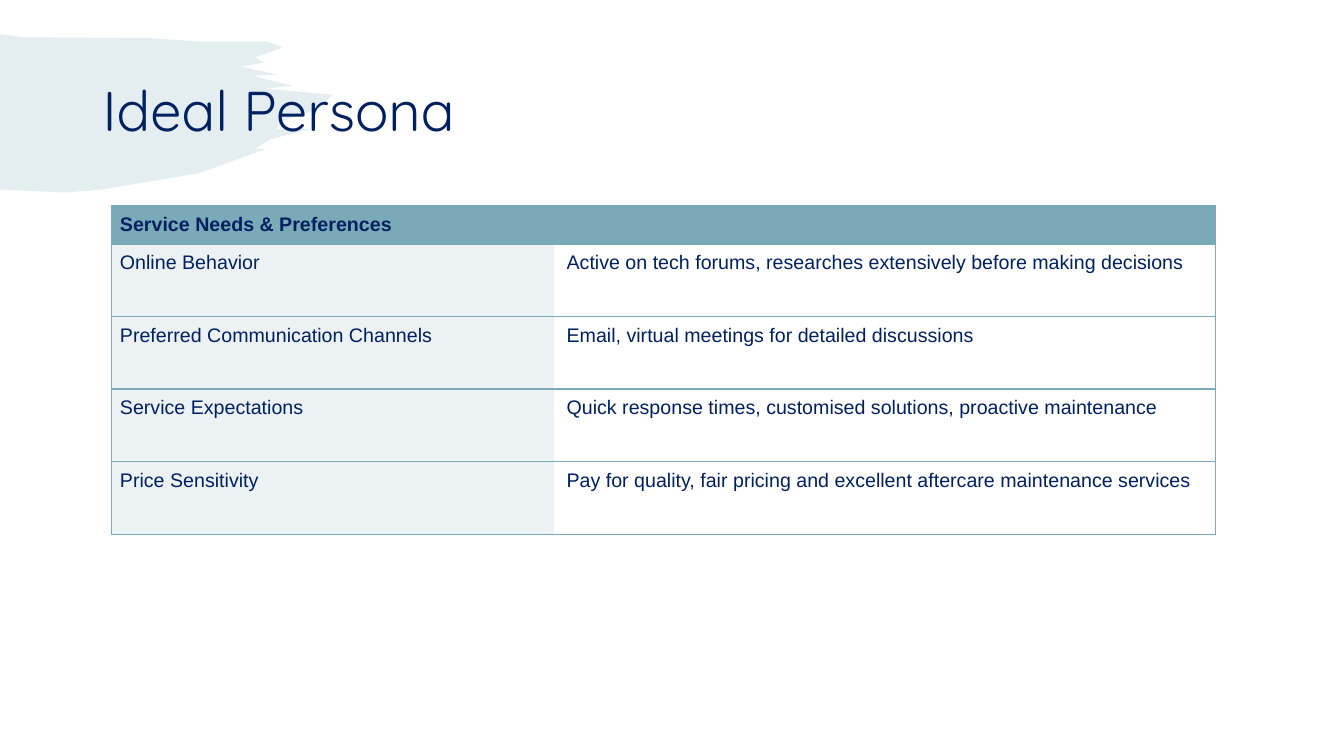
from lxml import etree
from pptx import Presentation
from pptx.dml.color import RGBColor
from pptx.enum import text
from pptx.oxml import ns
from pptx.util import Inches, Pt

NAVY, TEAL, PALE, WHITE = "002060", "7AA9B7", "ECF1F3", "FFFFFF"

HEADER = "Service Needs & Preferences"
ROWS = [
    ("Online Behavior", "Active on tech forums, researches extensively before making decisions"),
    ("Preferred Communication Channels", "Email, virtual meetings for detailed discussions"),
    ("Service Expectations", "Quick response times, customised solutions, proactive maintenance"),
    ("Price Sensitivity", "Pay for quality, fair pricing and excellent aftercare maintenance services"),
]

# Corners of the brush stroke in inches, clockwise from the top left
BRUSH = [
    (0, 0.34), (0.25, 0.37), (1.51, 0.38), (1.94, 0.41), (2.65, 0.41), (2.8, 0.47),
    (2.53, 0.57), (2.62, 0.62), (2.38, 0.66), (2.75, 0.74), (2.51, 0.75), (2.73, 0.81),
    (2.9, 0.85), (2.63, 0.88), (3.3, 0.94), (3.18, 1.06), (3.07, 1.11), (2.8, 1.2),
    (2.74, 1.28), (3.08, 1.28), (2.69, 1.38), (2.52, 1.48), (2.63, 1.48), (1.97, 1.72),
    (1.02, 1.88), (0.65, 1.91), (0, 1.88),
]


def rgb(color):
    return RGBColor.from_string(color)


def set_attrs(obj, values):
    for name, value in values.items():
        setattr(obj, name, value)


def set_text(p, words, font, size, bold=False):
    r = p.add_run()
    r.text = words
    set_attrs(r.font, {"name": font, "size": Pt(size), "bold": bold})
    r.font.color.rgb = rgb(NAVY)


def add_brush(s):
    outline = [(Inches(x), Inches(y)) for x, y in BRUSH]
    fb = s.shapes.build_freeform(*outline[0])
    fb.add_line_segments(outline[1:], close=True)
    sp = fb.convert_to_shape()
    sp.shadow.inherit = False
    sp.line.fill.background()
    sp.fill.solid()
    sp.fill.fore_color.rgb = rgb(TEAL)
    # 20 % opacity
    color = sp._element.spPr.find(".//" + ns.qn("a:srgbClr"))
    etree.SubElement(color, ns.qn("a:alpha"), val="20000")


def add_title(s, words):
    sp = s.shapes.add_textbox(Inches(0.92), Inches(0.4), Inches(11.5), Inches(1.45))
    tf = sp.text_frame
    set_attrs(tf, {"word_wrap": True, "vertical_anchor": text.MSO_ANCHOR.MIDDLE})
    p = tf.paragraphs[0]
    p.line_spacing = 0.9
    set_text(p, words, "Quicksand", 40)


def set_borders(cell, sides):
    tcPr = cell._tc.get_or_add_tcPr()
    for i, side in enumerate("LRTB"):
        ln = etree.Element(ns.qn(f"a:ln{side}"), w=str(Pt(1)))
        if side in sides:
            fill = etree.SubElement(ln, ns.qn("a:solidFill"))
            etree.SubElement(fill, ns.qn("a:srgbClr"), val=TEAL)
        else:
            etree.SubElement(ln, ns.qn("a:noFill"))
        tcPr.insert(i, ln)


def fill_cell(cell, words, color, sides, left=0.08, bold=False):
    pad = Inches(0.08)
    set_attrs(cell, {"margin_left": Inches(left), "margin_right": pad,
                     "margin_top": pad, "margin_bottom": pad})
    cell.fill.solid()
    cell.fill.fore_color.rgb = rgb(color)
    set_borders(cell, sides)
    if words:
        set_text(cell.text_frame.paragraphs[0], words, "Arial", 14, bold)


def add_persona_table(s):
    widths, heights = [4.38, 6.57], [0.38] + [0.72] * len(ROWS)
    frame = s.shapes.add_table(len(heights), len(widths), Inches(1.11), Inches(2.04),
                               Inches(sum(widths)), Inches(sum(heights)))
    table = frame.table
    # Plain table style without grid
    style = table._tbl.tblPr.find(ns.qn("a:tableStyleId"))
    style.text = "{2D5ABB26-0587-4C30-8999-92F81FD0307C}"
    for column, width in zip(table.columns, widths):
        column.width = Inches(width)
    for row, height in zip(table.rows, heights):
        row.height = Inches(height)
    # Header across both columns
    table.cell(0, 0).merge(table.cell(0, 1))
    fill_cell(table.cell(0, 0), HEADER, TEAL, "LRTB", bold=True)
    fill_cell(table.cell(0, 1), "", TEAL, "LRTB")
    # Need and preference pairs
    for i, (need, preference) in enumerate(ROWS, start=1):
        fill_cell(table.cell(i, 0), need, PALE, "LTB")
        fill_cell(table.cell(i, 1), preference, WHITE, "RTB", left=0.13)


def main():
    prs = Presentation()
    set_attrs(prs, {"slide_width": Inches(13.33), "slide_height": Inches(7.5)})
    s = prs.slides.add_slide(prs.slide_layouts[6])
    add_brush(s)
    add_persona_table(s)
    add_title(s, "Ideal Persona")
    prs.save("out.pptx")


if __name__ == "__main__":
    main()
